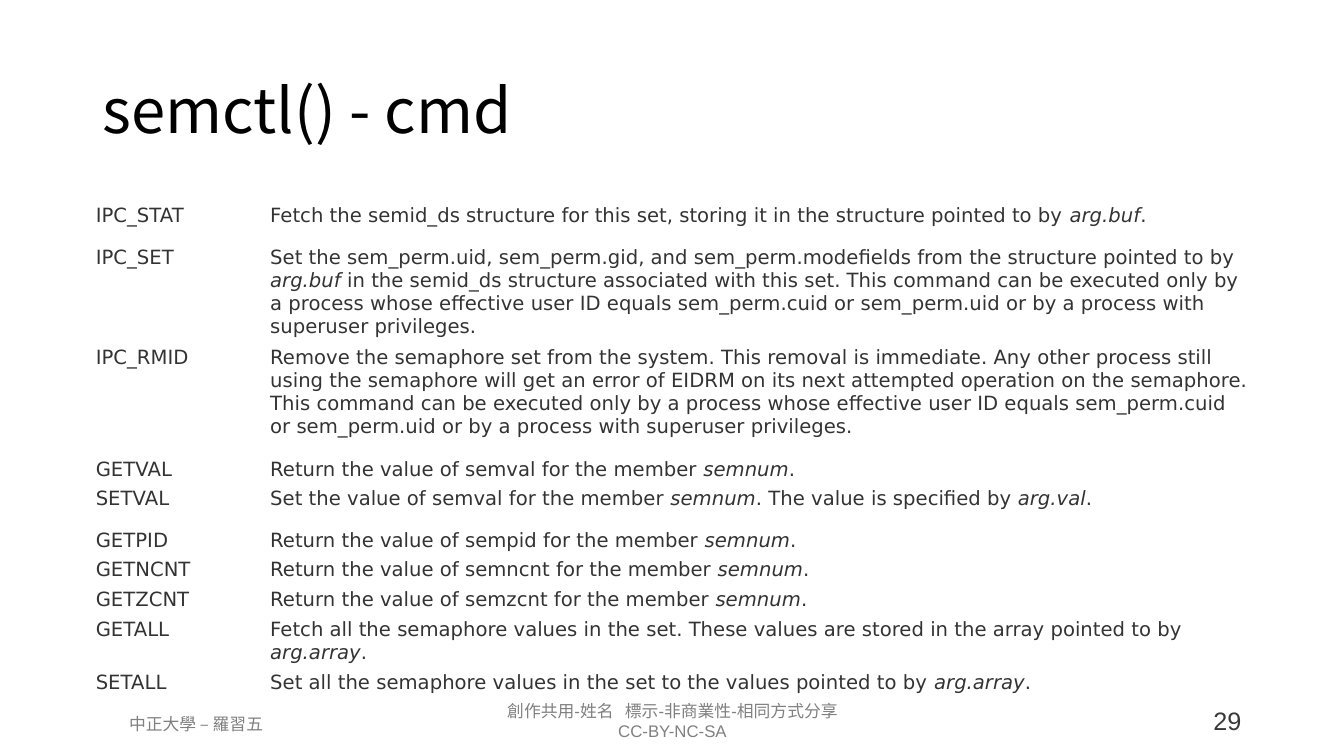
from pptx import Presentation
from pptx.dml.color import RGBColor as RGB
from pptx.enum.text import MSO_ANCHOR as Anchor, PP_ALIGN as Align
from pptx.util import Inches, Pt

INK = {"title": "000000", "body": "333333", "foot": "808080", "page": "3B3838"}
LEFT, WIDE = 0.92, 11.5
COLS = [1.73, WIDE - 1.73]
LINE, GAP = 0.29, 0.41  # height of a tight row and of a spaced row

# Command, row height, meaning; asterisks enclose italic words
CMDS = [
    ("IPC_STAT", GAP, "Fetch the semid_ds structure for this set, storing it in the "
     "structure pointed to by *arg.buf*."),
    ("IPC_SET", 0.99, "Set the sem_perm.uid, sem_perm.gid, and sem_perm.modefields from "
     "the structure pointed to by *arg.buf* in the semid_ds structure associated with "
     "this set. This command can be executed only by a process whose effective user ID "
     "equals sem_perm.cuid or sem_perm.uid or by a process with superuser privileges."),
    ("IPC_RMID", 1.11, "Remove the semaphore set from the system. This removal is "
     "immediate. Any other process still using the semaphore will get an error of "
     "EIDRM on its next attempted operation on the semaphore. This command can be "
     "executed only by a process whose effective user ID equals sem_perm.cuid or "
     "sem_perm.uid or by a process with superuser privileges."),
    ("GETVAL", LINE, "Return the value of semval for the member *semnum*."),
    ("SETVAL", GAP, "Set the value of semval for the member *semnum*. "
     "The value is specified by *arg.val*."),
    ("GETPID", LINE, "Return the value of sempid for the member *semnum*."),
    ("GETNCNT", LINE, "Return the value of semncnt for the member *semnum*."),
    ("GETZCNT", LINE, "Return the value of semzcnt for the member *semnum*."),
    ("GETALL", GAP, "Fetch all the semaphore values in the set. These values are stored "
     "in the array pointed to by *arg.array*."),
    ("SETALL", LINE, "Set all the semaphore values in the set to the values pointed to "
     "by *arg.array*."),
]
FOOT = [
    ((4.21, 6.9, 4.92, 0.5), ["創作共用-姓名   標示-非商業性-相同方式分享", "CC-BY-NC-SA"],
     Align.CENTER, 12, "foot"),
    ((0.69, 7.03, 2.51, 0.3), ["中正大學 – 羅習五"], Align.CENTER, 12, "foot"),
    ((9.96, 6.95, 2.45, 0.4), ["29"], Align.RIGHT, 18, "page"),
]


def add_run(para, text, size, face, ink, slant=False):
    run = para.add_run()
    run.text = text
    font = run.font
    font.size, font.name, font.italic = Pt(size), face, slant
    font.color.rgb = RGB.from_string(INK[ink])


deck = Presentation()
deck.slide_width, deck.slide_height = Inches(13.33), Inches(7.5)
slide = deck.slides.add_slide(deck.slide_layouts[5])

for box, lines, align, size, ink in FOOT:
    frame = slide.shapes.add_textbox(*map(Inches, box)).text_frame
    frame.word_wrap = True
    for i, line in enumerate(lines):
        para = frame.add_paragraph() if i else frame.paragraphs[0]
        para.alignment = align
        add_run(para, line, size, "Arial", ink)

title = slide.shapes.title
title.left, title.top = Inches(LEFT), Inches(0.4)
title.width, title.height = Inches(WIDE), Inches(1.45)
title.text_frame.vertical_anchor = Anchor.MIDDLE
para = title.text_frame.paragraphs[0]
para.alignment, para.line_spacing = Align.LEFT, 0.9
add_run(para, "semctl() - cmd", 44, "Noto Sans CJK SC", "title")

high = sum(row[1] for row in CMDS)
table = slide.shapes.add_table(len(CMDS), len(COLS), Inches(LEFT), Inches(2),
                               Inches(WIDE), Inches(high)).table
table.first_row = table.horz_banding = False
for col, width in zip(table.columns, COLS):
    col.width = Inches(width)
for row, (cmd, height, text) in zip(table.rows, CMDS):
    row.height = Inches(height)
    for cell, words in zip(row.cells, (cmd, text)):
        cell.fill.background()
        cell.margin_left = cell.margin_right = Inches(0.03)
        cell.margin_top = cell.margin_bottom = Inches(0.03)
        for i, part in enumerate(words.split("*")):
            add_run(cell.text_frame.paragraphs[0], part, 14, "DejaVu Sans", "body",
                    i % 2 == 1)

deck.save("out.pptx")
